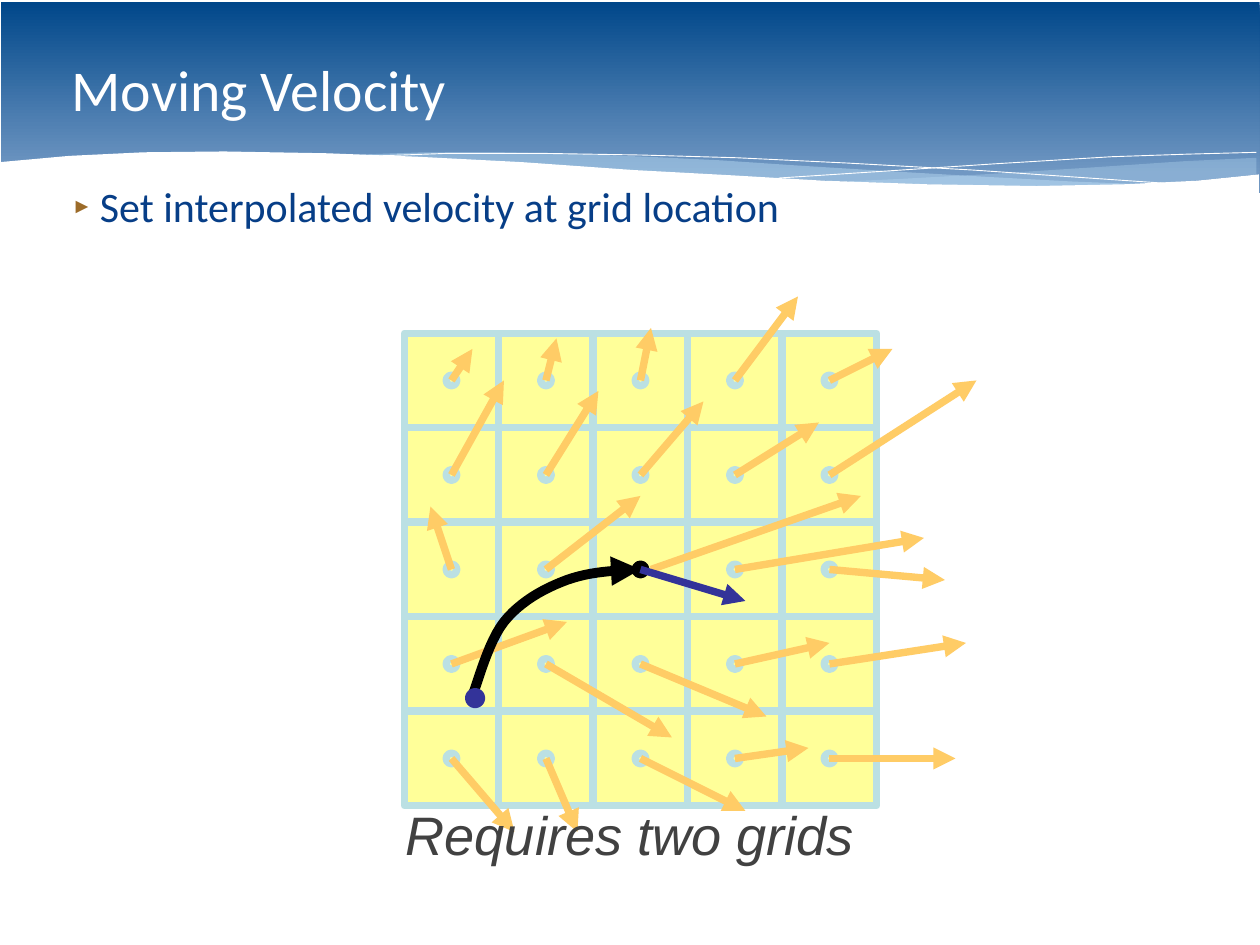
from lxml.etree import SubElement
from pptx import Presentation
from pptx.dml.color import RGBColor
from pptx.enum.shapes import MSO_CONNECTOR as CONN, MSO_SHAPE as SHAPE
from pptx.enum.text import MSO_ANCHOR as ANCHOR, PP_ALIGN as ALIGN
from pptx.oxml.ns import qn
from pptx.util import Pt

WHITE = RGBColor(0xFF, 0xFF, 0xFF)
BLACK = RGBColor(0x00, 0x00, 0x00)
HEADER_TOP = RGBColor(0x00, 0x47, 0x8A)
HEADER_BOTTOM = RGBColor(0x71, 0x98, 0xC3)
WAVE = RGBColor(0xC6, 0xE7, 0xFC)
NAVY = RGBColor(0x07, 0x3E, 0x87)
BROWN = RGBColor(0x9C, 0x6B, 0x29)
GREY = RGBColor(0x41, 0x41, 0x41)
CELL_FILL = RGBColor(0xFF, 0xFF, 0x99)
GRID_LINE = RGBColor(0xBB, 0xE0, 0xE3)
ORANGE = RGBColor(0xFF, 0xCC, 0x66)
INDIGO = RGBColor(0x33, 0x33, 0x99)

GRID_LEFT, GRID_TOP = 328.5, 270.8
CELL = 76.8
STEP = CELL / 9

VELOCITIES = [
    [(2, -3), (1, -4), (1, -5), (6, -8), (6, -3)],
    [(5, -9), (5, -8), (6, -7), (8, -5), (14, -9)],
    [(-2, -6), (9, -7), (21, -7), (18, -3), (11, 1)],
    [(11, -4), (12, 7), (12, 5), (9, -2), (13, -2)],
    [(6, 7), (3, 7), (10, 5), (7, -1), (12, 0)],
]
MIDDLE = (2, 2)
START_DOT = (-15.75, 12.25)
TRACE_CURVES = [
    [(0, 0), (-2.4, 0.1), (-4.8, 0.2), (-7, 1)],
    [(-7, 1), (-9.2, 1.8), (-11.5, 3.1), (-13, 5)],
    [(-13, 5), (-14.5, 6.9), (-15.5, 10.8), (-16, 12)],
]

RIGHT_WAVE = [
    (1021, 128.2), (962.6, 131), (897.8, 135.4), (810, 141.1), (732.2, 145.4),
    (684, 147.6), (730.8, 149), (787, 150.5), (836.6, 151.2), (880.6, 151.2),
    (928.8, 149.8), (970.6, 146.9), (1021, 141.8)]
LONG_WAVE = [
    (932.4, 149.8), (872.6, 147.6), (806.4, 144), (732.2, 139.7),
    (649.4, 134.6), (585.4, 130.3), (526.3, 127.4), (473, 125.3),
    (403.2, 123.8), (344.2, 123.8), (282.2, 126), (342, 128.2), (409, 131.8),
    (501.1, 137.5), (582.5, 142.6), (655.2, 146.2), (720, 149),
    (790.6, 151.2), (874.1, 151.2)]
FALLING_LINE = [
    (306.7, 126.7), (364.3, 124.6), (439.2, 124.6), (522, 126), (599, 128.2),
    (688.3, 132.5), (790.6, 138.2), (948.2, 149)]
RISING_LINE = [
    (632.9, 144.7), (720.7, 139), (807.8, 133.2), (903.6, 127.4),
    (965.5, 125.3), (1021, 123.8)]
HEADER_EDGE = [
    (1023, 141.8), (972.7, 146.9), (913.7, 149.8), (842.4, 151.2),
    (753.8, 149.8), (669.6, 146.9), (596.2, 142.6), (514.8, 138.2),
    (424.1, 131.8), (339.1, 127.4), (265.7, 124.6), (182.2, 123.1),
    (116.6, 123.8), (56.2, 126.7), (0, 131.8), (0, 166.3), (1023, 166.3)]


def style(s, fill=None, line=None, width=0, opacity=None):
    s.shadow.inherit = False
    if fill is None:
        s.fill.background()
    else:
        s.fill.solid()
        s.fill.fore_color.rgb = fill
    if opacity is not None:
        color = s.fill._xPr.find(qn("a:solidFill"))[0]
        SubElement(color, qn("a:alpha"), val=str(opacity * 1000))
    if line is None:
        s.line.fill.background()
    else:
        s.line.color.rgb = line
        s.line.width = Pt(width)


def add_box(slide, kind, x, y, w, h, **look):
    s = slide.shapes.add_shape(kind, Pt(x), Pt(y), Pt(w), Pt(h))
    style(s, **look)
    return s


def add_outline(slide, points, close=True, **look):
    first, *rest = [(Pt(x), Pt(y)) for x, y in points]
    builder = slide.shapes.build_freeform(*first)
    builder.add_line_segments(rest, close=close)
    s = builder.convert_to_shape()
    style(s, **look)
    return s


def add_dot(slide, center, fill, line, width=6):
    x, y = center
    add_box(slide, SHAPE.OVAL, x - STEP / 2, y - STEP / 2, STEP, STEP,
            fill=fill, line=line, width=width)


def add_arrow(slide, start, end, color):
    s = slide.shapes.add_connector(CONN.STRAIGHT, *map(Pt, start + end))
    s.line.color.rgb = color
    s.line.width = Pt(6)
    SubElement(s.line._get_or_add_ln(), qn("a:tailEnd"), type="triangle")
    SubElement(s._element.spPr, qn("a:effectLst"))


def add_text(slide, text, x, y, w, h, *, size, color, font="Calibri",
             italic=False, align=ALIGN.LEFT, anchor=ANCHOR.TOP):
    tf = slide.shapes.add_textbox(Pt(x), Pt(y), Pt(w), Pt(h)).text_frame
    tf.word_wrap = True
    tf.vertical_anchor = anchor
    p = tf.paragraphs[0]
    p.alignment = align
    r = p.add_run()
    r.text = text
    r.font.size = Pt(size)
    r.font.name = font
    r.font.italic = italic
    r.font.color.rgb = color
    return p


def add_bullet(p, char, color, percent, indent):
    pPr = p._p.get_or_add_pPr()
    pPr.set("marL", str(Pt(indent)))
    pPr.set("indent", str(-Pt(indent)))
    SubElement(SubElement(pPr, qn("a:buClr")), qn("a:srgbClr"), val=str(color))
    SubElement(pPr, qn("a:buSzPct"), val=str(percent * 1000))
    SubElement(pPr, qn("a:buFont"), typeface="Arial")
    SubElement(pPr, qn("a:buChar"), char=char)


def add_header(slide):
    s = add_box(slide, SHAPE.RECTANGLE, 0.7, 1.4, 1023, 155.5)
    s.fill.gradient()
    s.fill.gradient_angle = 270
    stops = zip(s.fill.gradient_stops, (HEADER_TOP, HEADER_BOTTOM), (0, 0.9))
    for stop, color, position in stops:
        stop.color.rgb = color
        stop.position = position
    add_outline(slide, RIGHT_WAVE, fill=WAVE, opacity=29)
    add_outline(slide, LONG_WAVE, fill=WAVE, opacity=40)
    for points in (FALLING_LINE, RISING_LINE):
        add_outline(slide, points, close=False, line=WHITE)
    add_outline(slide, HEADER_EDGE, fill=WHITE)


def shift(point, steps):
    return tuple(a + b * STEP for a, b in zip(point, steps))


def cell_center(row, col):
    return GRID_LEFT + (col + 0.5) * CELL, GRID_TOP + (row + 0.5) * CELL


def bezier(a, b, c, d, t):
    u = 1 - t
    return tuple(u**3 * i + 3 * u * u * t * j + 3 * u * t * t * k + t**3 * m
                 for i, j, k, m in zip(a, b, c, d))


def add_grid(slide):
    cells = [(row, col) for row in range(5) for col in range(5)]
    for row, col in cells:
        add_box(slide, SHAPE.RECTANGLE, GRID_LEFT + col * CELL,
                GRID_TOP + row * CELL, CELL, CELL,
                fill=CELL_FILL, line=GRID_LINE, width=6)
        if (row, col) != MIDDLE:
            add_dot(slide, cell_center(row, col), CELL_FILL, GRID_LINE)
    for row, col in cells:
        center = cell_center(row, col)
        start = shift(center, (1, 0)) if (row, col) == MIDDLE else center
        add_arrow(slide, start, shift(center, VELOCITIES[row][col]), ORANGE)


def add_trace(slide):
    center = cell_center(*MIDDLE)
    points = [center] + [shift(center, bezier(*curve, i / 12))
                         for curve in TRACE_CURVES for i in range(1, 13)]
    s = add_outline(slide, points, close=False, line=BLACK, width=8)
    SubElement(s.line._get_or_add_ln(), qn("a:headEnd"), type="triangle")
    add_dot(slide, shift(center, START_DOT), INDIGO, INDIGO, width=8)
    add_dot(slide, center, BLACK, BLACK)
    add_arrow(slide, center, shift(center, (10, 3)), INDIGO)


def main():
    prs = Presentation()
    prs.slide_width, prs.slide_height = Pt(1024), Pt(768)
    slide = prs.slides.add_slide(prs.slide_layouts[6])
    add_header(slide)
    add_text(slide, "Moving Velocity", 51.2, 16.5, 921.6, 111.5,
             size=46.9, color=WHITE, anchor=ANCHOR.MIDDLE)
    p = add_text(slide, "Set interpolated velocity at grid location",
                 51.2, 143.5, 921.6, 568, size=34.1, color=NAVY)
    p.space_before = Pt(12.5)
    add_bullet(p, "►", BROWN, 50, 23)
    add_grid(slide)
    add_trace(slide)
    add_text(slide, "Requires two grids", 312, 649.5, 400, 57, size=44,
             color=GREY, font="Arial", italic=True, align=ALIGN.CENTER,
             anchor=ANCHOR.MIDDLE)
    prs.save("out.pptx")


if __name__ == "__main__":
    main()
